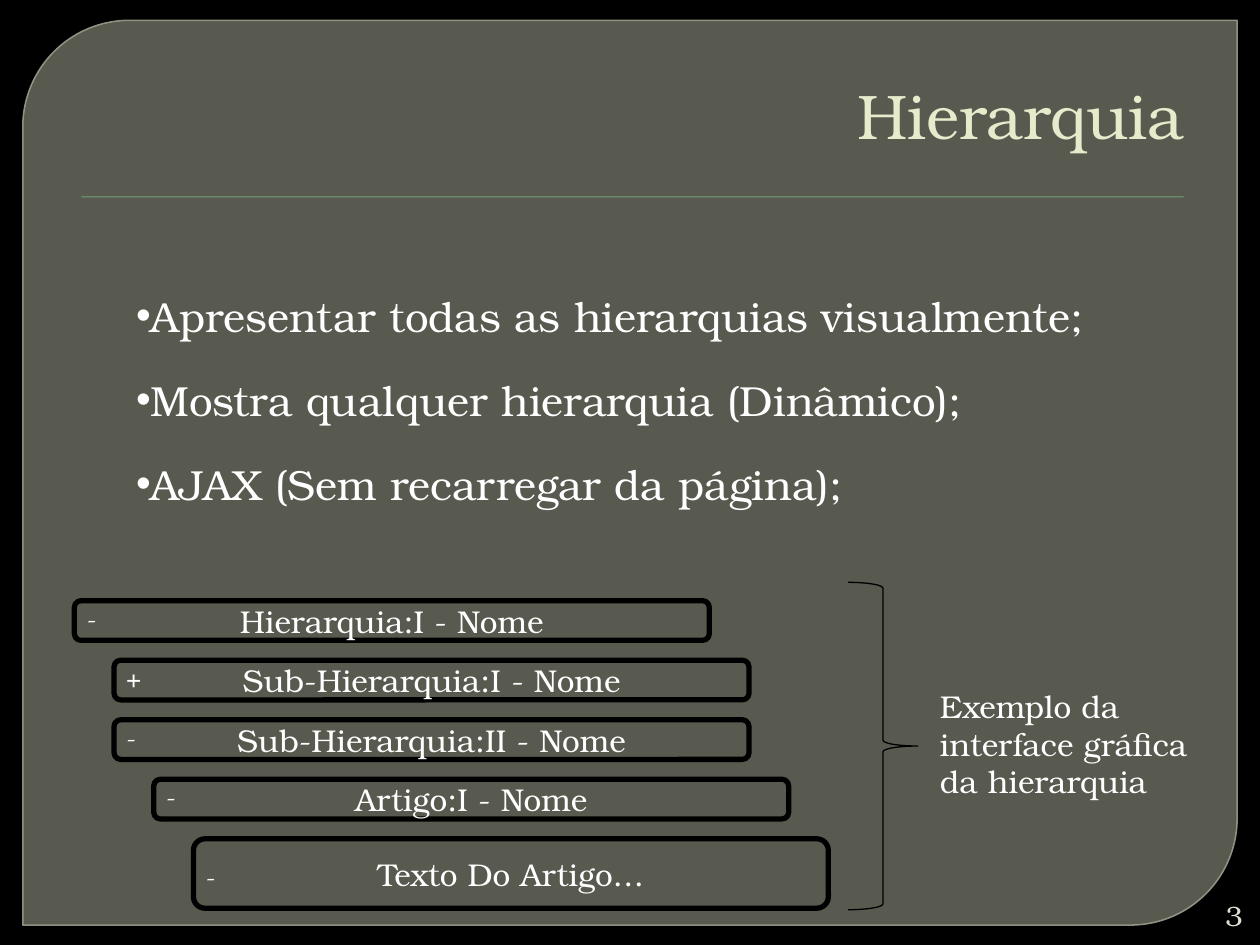
import pptx
import pptx.dml.color
import pptx.enum.shapes
import pptx.enum.text
import pptx.oxml
import pptx.oxml.ns
import pptx.util

Cm = pptx.util.Cm
Pt = pptx.util.Pt
RGBColor = pptx.dml.color.RGBColor
Preset = pptx.enum.shapes.MSO_SHAPE
Align = pptx.enum.text.PP_ALIGN
Anchor = pptx.enum.text.MSO_ANCHOR

FONT = "TeX Gyre Bonum"
BLACK = RGBColor(0x00, 0x00, 0x00)
WHITE = RGBColor(0xFF, 0xFF, 0xFF)
PANEL = RGBColor(0x88, 0x8B, 0x7B)
PANEL_EDGE = RGBColor(0x9D, 0xA0, 0x90)
RULE = RGBColor(0x72, 0xA3, 0x76)
TITLE = RGBColor(0xE7, 0xEA, 0xCB)
NUMBER = RGBColor(0xE0, 0xE0, 0xD4)

TOPICS = [
    "Apresentar todas as hierarquias visualmente;",
    "Mostra qualquer hierarquia (Dinâmico);",
    "AJAX (Sem recarregar da página);",
]
LEVELS = [
    (0, "-", "Hierarquia:I - Nome", 0.8, -0.06),
    (1, "+", "Sub-Hierarquia:I - Nome", 0.8, -0.06),
    (1, "-", "Sub-Hierarquia:II - Nome", 0.8, -0.06),
    (2, "-", "Artigo:I - Nome", 0.8, -0.06),
    (3, "-", "Texto Do Artigo…", 1.4, 0.35),
]


def place(shape, box):
    """Move a shape to a (left, top, width, height) box in centimetres."""
    shape.left, shape.top, shape.width, shape.height = map(Cm, box)


def style(paragraph, size, color, align=Align.LEFT):
    """Set the font and alignment of a paragraph."""
    paragraph.alignment = align
    paragraph.font.name = FONT
    paragraph.font.size = Pt(size)
    paragraph.font.color.rgb = color


def add_text(slide, box, text, size, color=WHITE, align=Align.LEFT, anchor=Anchor.TOP):
    """Add a wrapping one-paragraph text box."""
    frame = slide.shapes.add_textbox(*map(Cm, box)).text_frame
    frame.word_wrap = True
    frame.vertical_anchor = anchor
    frame.text = text
    style(frame.paragraphs[0], size, color, align)


def add_outline(slide, preset, box, color, width):
    """Add an unfilled preset shape with a plain outline."""
    shape = slide.shapes.add_shape(preset, *map(Cm, box))
    shape.shadow.inherit = False
    shape.fill.background()
    shape.line.color.rgb = color
    shape.line.width = Pt(width)
    return shape


def set_opacity(shape, fill_percent, line_percent):
    """Make the solid fill and line of a shape translucent."""
    colors = shape.element.spPr.iter(pptx.oxml.ns.qn("a:srgbClr"))
    for color, percent in zip(colors, (fill_percent, line_percent)):
        alpha = pptx.oxml.parse_xml(
            f'<a:alpha {pptx.oxml.ns.nsdecls("a")} val="{percent * 1000}"/>'
        )
        color.append(alpha)


def add_frame(slide, box):
    """Place the rounded panel and the title rule behind the content."""
    left, top, width, _ = box
    panel = add_outline(slide, Preset.ROUND_2_DIAG_RECTANGLE, box, PANEL_EDGE, 0.87)
    panel.adjustments[0] = 0.118
    panel.adjustments[1] = 0
    panel.fill.solid()
    panel.fill.fore_color.rgb = PANEL
    set_opacity(panel, 65, 88)
    rule_box = (left + 1.18, top + 3.55, width - 2.26, 0.02)
    rule = add_outline(slide, Preset.RECTANGLE, rule_box, RULE, 0)
    rule.fill.solid()
    rule.fill.fore_color.rgb = RULE
    rule.line.fill.background()
    for depth, backdrop in enumerate((panel, rule), start=2):
        slide.shapes.element.insert(depth, backdrop.element)


def fill_title(slide, box):
    """Fill the title placeholder."""
    title = slide.shapes.title
    place(title, box)
    frame = title.text_frame
    frame.text = "Hierarquia"
    frame.auto_size = pptx.enum.text.MSO_AUTO_SIZE.NONE
    frame.vertical_anchor = Anchor.MIDDLE
    style(frame.paragraphs[0], 36, TITLE, Align.RIGHT)


def fill_topics(slide, box):
    """Fill the body placeholder with the bulleted topics."""
    body = slide.placeholders[1]
    place(body, box)
    frame = body.text_frame
    frame.text = "\n".join(TOPICS)
    frame.auto_size = pptx.enum.text.MSO_AUTO_SIZE.NONE
    frame.vertical_anchor = Anchor.MIDDLE
    for index, topic in enumerate(frame.paragraphs):
        properties = topic._p.get_or_add_pPr()
        properties.set("marL", "0")
        properties.set("indent", "0")
        properties.append(pptx.oxml.parse_xml(
            f'<a:buChar {pptx.oxml.ns.nsdecls("a")} char="•"/>'
        ))
        topic.line_spacing = 1.5
        topic.space_before = Pt(4.8 if index else 0)
        style(topic, 24, WHITE)


def add_hierarchy(slide, box):
    """Draw the indented levels, the brace and its caption."""
    left, top, width, height = box
    for row, (depth, sign, name, bar_height, sign_drop) in enumerate(LEVELS):
        bar_left, bar_top = left + 0.8 * depth, top + 0.37 + 1.2 * row
        bar_box = (bar_left, bar_top, 12.8, bar_height)
        bar = add_outline(slide, Preset.ROUNDED_RECTANGLE, bar_box, BLACK, 3)
        bar.text_frame.text = name
        bar.text_frame.vertical_anchor = Anchor.MIDDLE
        style(bar.text_frame.paragraphs[0], 18, WHITE, Align.CENTER)
        add_text(slide, (bar_left, bar_top + sign_drop, 0.62, 0.86), sign, 14)
    brace_box = (left + 15.6, top, 1.4, height)
    add_outline(slide, Preset.RIGHT_BRACE, brace_box, BLACK, 0.75)
    caption_box = (left + 17.2, top + 1.98, width - 17.2, 2.57)
    add_text(slide, caption_box, "Exemplo da interface gráfica da hierarquia", 18)


def main():
    """Build and save the slide."""
    deck = pptx.Presentation()
    deck.slide_width, deck.slide_height = Cm(25.4), Cm(19.05)
    slide = deck.slides.add_slide(deck.slide_layouts[1])
    slide.background.fill.solid()
    slide.background.fill.fore_color.rgb = BLACK
    add_frame(slide, (0.46, 0.41, 24.48, 18.24))
    fill_title(slide, (1.27, 0.71, 22.86, 3.18))
    fill_topics(slide, (2.49, 4.47, 20.4, 6.65))
    add_hierarchy(slide, (1.5, 11.74, 22.99, 6.6))
    add_text(slide, (24, 18.08, 1.3, 0.76), "3", 16, NUMBER, Align.RIGHT, Anchor.MIDDLE)
    deck.save("out.pptx")


if __name__ == "__main__":
    main()
